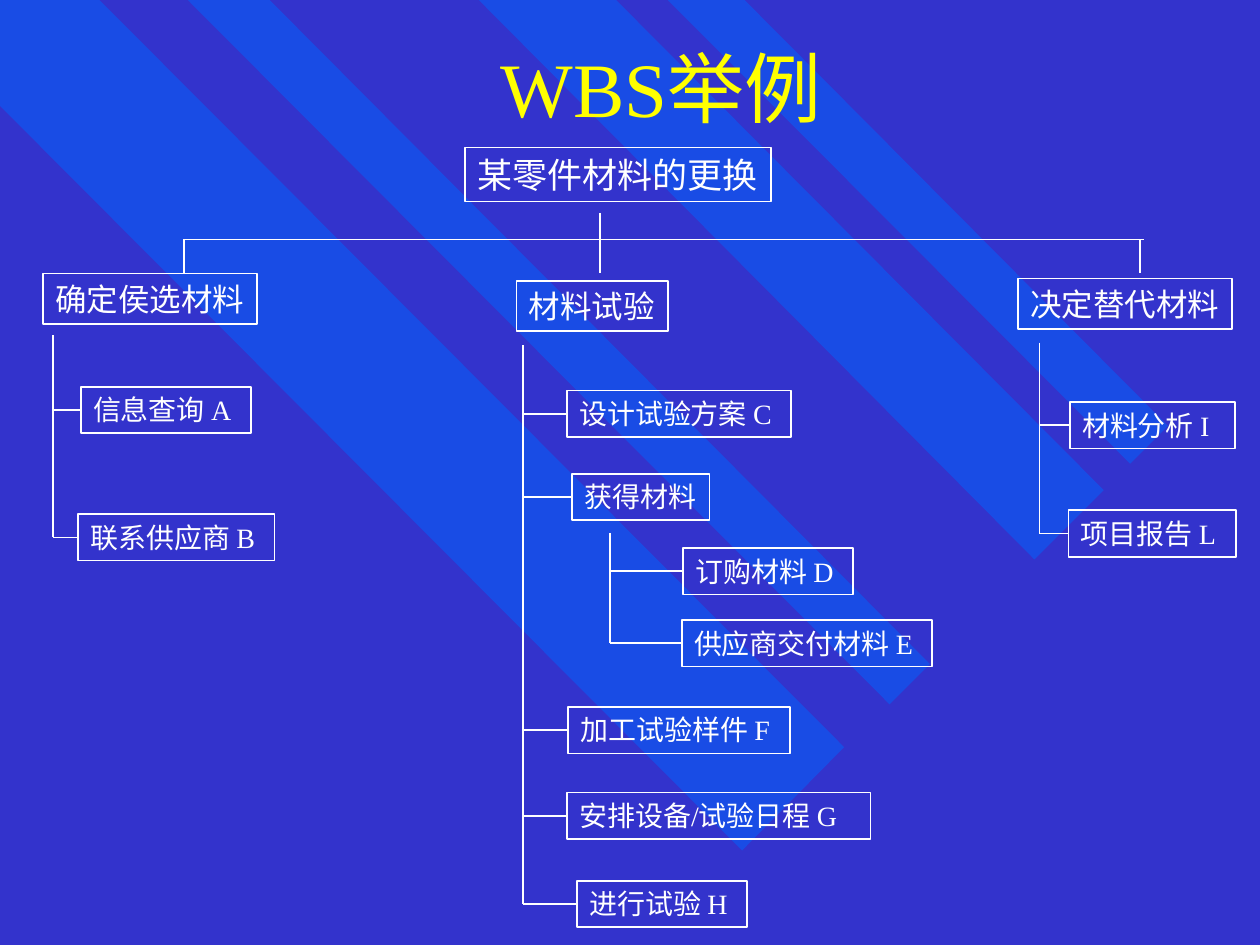
from lxml.etree import SubElement
from pptx import Presentation
from pptx.dml.color import RGBColor
from pptx.enum.shapes import MSO_CONNECTOR, MSO_SHAPE
from pptx.enum.text import MSO_ANCHOR, MSO_AUTO_SIZE, PP_ALIGN
from pptx.oxml.ns import qn
from pptx.util import Inches, Pt

COLUMNS, ROWS = 100, 75
FONT = "Times New Roman"
WHITE = "FFFFFF"
NODE_HEIGHTS = {16: 3.7, 18: 4, 20: 4.3}

BANDS = [
    [(67, 59.3), (7.9, 0), (0, 0), (0, 8.4), (58.9, 67.5)],
    [(21.4, 0), (73.8, 52.7), (70.6, 55.9), (14.9, 0)],
    [(48.9, 0), (87.6, 38.9), (82.1, 44.4), (38, 0)],
    [(53, 0), (89.7, 36.8), (92.7, 33.8), (59.1, 0)],
]
PROJECT = ("某零件材料的更换", 36.9, 11.7, 24.3, 20)
PHASES = [
    ("确定侯选材料", 3.4, 21.7, 17, 18),
    ("材料试验", 41, 22.3, 12, 18),
    ("决定替代材料", 80.8, 22.1, 17, 18),
]
BRANCHES = [
    (4.2, 26.6, [("信息查询 A", 6.4, 30.7, 13.5), ("联系供应商 B", 6.2, 40.8, 15.6)]),
    (41.5, 27.4, [
        ("设计试验方案 C", 45, 31, 17.8),
        ("获得材料", 45.4, 37.6, 10.9),
        ("加工试验样件 F", 45.1, 56.1, 17.6),
        ("安排设备/试验日程 G", 45, 62.9, 24.1),
        ("进行试验 H", 45.8, 69.9, 13.5),
    ]),
    (48.4, 42.3, [("订购材料 D", 54.2, 43.5, 13.5), ("供应商交付材料 E", 54.1, 49.2, 19.9)]),
    (82.5, 27.2, [("材料分析 I", 84.9, 31.9, 13.1), ("项目报告 L", 84.8, 40.5, 13.3)]),
]


def grid(units):
    return Inches(units / 10)


def color(value):
    return RGBColor.from_string(value)


def format_text(para, size, value):
    for span in para.runs:
        span.font.name = FONT
        span.font.size = Pt(size)
        span.font.color.rgb = color(value)


def add_line(page, x1, y1, x2, y2):
    line = page.shapes.add_connector(
        MSO_CONNECTOR.STRAIGHT, grid(x1), grid(y1), grid(x2), grid(y2))
    line.line.color.rgb = color(WHITE)
    line.line.width = Pt(1)
    SubElement(line.element.spPr, qn("a:effectLst"))
    return line


def add_node(page, text, left, top, width, size=16):
    box = page.shapes.add_shape(
        MSO_SHAPE.RECTANGLE, grid(left), grid(top), grid(width), grid(NODE_HEIGHTS[size]))
    box.shadow.inherit = False
    box.fill.background()
    box.line.color.rgb = color(WHITE)
    box.line.width = Pt(1)
    frame = box.text_frame
    frame.word_wrap = False
    frame.auto_size = MSO_AUTO_SIZE.NONE
    frame.vertical_anchor = MSO_ANCHOR.TOP
    frame.text = text
    frame.paragraphs[0].alignment = PP_ALIGN.LEFT
    format_text(frame.paragraphs[0], size, WHITE)
    return box


def add_title(page, left, top, width, height):
    title = page.shapes.title
    title.left, title.top = grid(left), grid(top)
    title.width, title.height = grid(width), grid(height)
    frame = title.text_frame
    frame.text = "WBS举例"
    frame.vertical_anchor = MSO_ANCHOR.MIDDLE
    frame.paragraphs[0].alignment = PP_ALIGN.CENTER
    format_text(frame.paragraphs[0], 44, "FFFF00")


def add_backdrop(page):
    page.background.fill.solid()
    page.background.fill.fore_color.rgb = color("3333CC")
    for outline in BANDS:
        points = [(grid(x), grid(y)) for x, y in outline]
        builder = page.shapes.build_freeform(*points[0])
        builder.add_line_segments(points[1:], close=True)
        band = builder.convert_to_shape()
        band.shadow.inherit = False
        band.line.fill.background()
        band.fill.solid()
        band.fill.fore_color.rgb = color("0066FF")
        tint = band.element.spPr.find(qn("a:solidFill"))[0]
        SubElement(tint, qn("a:alpha"), val="50000")
        page.shapes.title.element.addprevious(band.element)


def add_project_level(page):
    add_node(page, *PROJECT)
    for phase in PHASES:
        add_node(page, *phase)
    bar, drop_end = 19, 21.7
    add_line(page, 14.6, bar, 90.8, bar)
    for x, top in ((14.6, bar), (47.6, 16.9), (90.5, bar)):
        add_line(page, x, top, x, drop_end)


def add_branch(page, spine, top, tasks):
    for task in tasks:
        box = add_node(page, *task)
        middle = task[2] + NODE_HEIGHTS[16] / 2
        add_line(page, spine, middle, task[1], middle).end_connect(box, 1)
    add_line(page, spine, top, spine, middle)


def main():
    deck = Presentation()
    deck.slide_width, deck.slide_height = grid(COLUMNS), grid(ROWS)
    page = deck.slides.add_slide(deck.slide_layouts[5])
    add_title(page, 10, 0.8, 85, 12.1)
    add_backdrop(page)
    add_project_level(page)
    for branch in BRANCHES:
        add_branch(page, *branch)
    deck.save("out.pptx")


if __name__ == "__main__":
    main()
